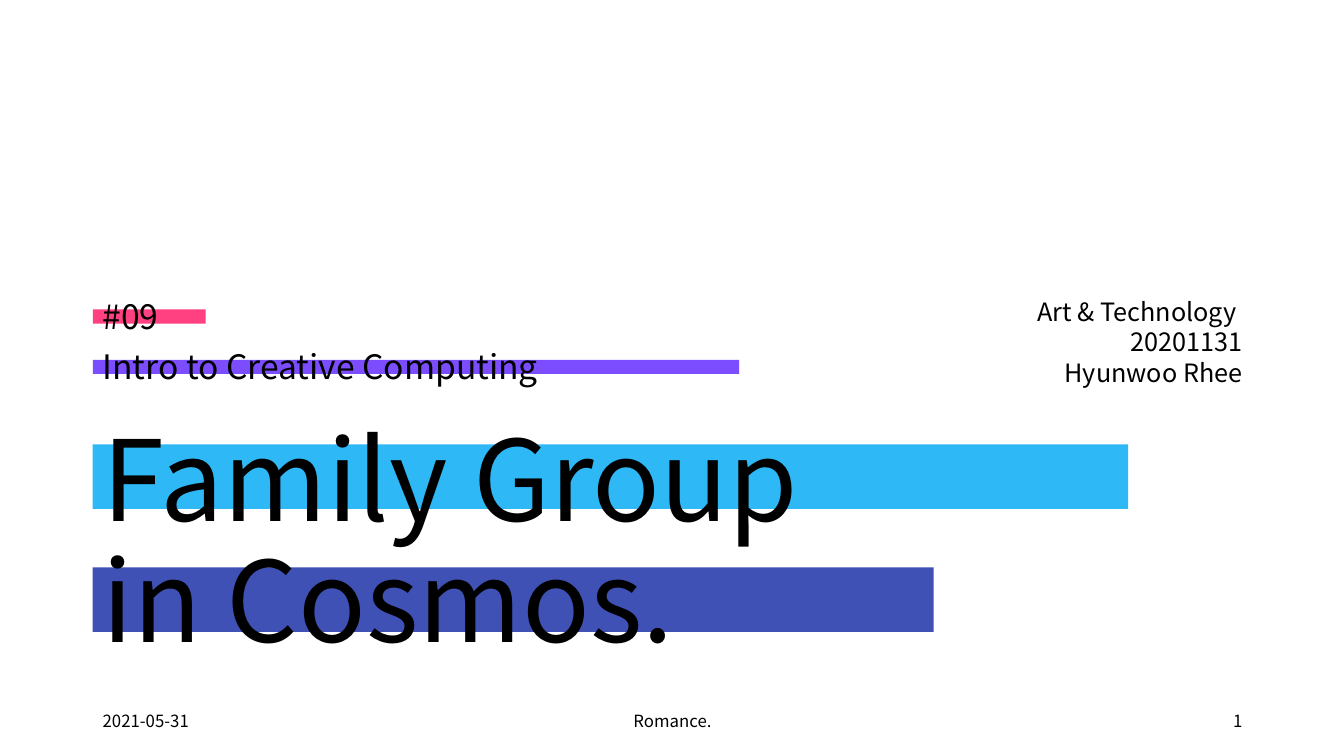
from pptx import Presentation
from pptx import util as u
from pptx.dml.color import RGBColor
from pptx.enum import shapes, text

PX = 9144  # EMU per px, 100 px to the inch
FONT = "Noto Sans CJK KR"
BLACK = RGBColor(0x00, 0x00, 0x00)
VIOLET = RGBColor(0x7C, 0x4D, 0xFF)
PINK = RGBColor(0xFF, 0x40, 0x81)
INDIGO = RGBColor(0x3F, 0x51, 0xB5)
SKY = RGBColor(0x2E, 0xB8, 0xF6)

LEFT = 92
WIDTH = 1150
RIGHT = LEFT + WIDTH
LEFT_ALIGN, CENTER, RIGHT_ALIGN = (
    text.PP_ALIGN.LEFT, text.PP_ALIGN.CENTER, text.PP_ALIGN.RIGHT)
MIDDLE, BOTTOM = text.MSO_ANCHOR.MIDDLE, text.MSO_ANCHOR.BOTTOM


def add_bar(slide, top, width, height, color):
    """Coloured highlight that starts at the left margin."""
    shape = slide.shapes.add_shape(
        shapes.MSO_SHAPE.RECTANGLE, LEFT * PX, top * PX, width * PX, height * PX)
    shape.shadow.inherit = False
    shape.fill.solid()
    shape.fill.fore_color.rgb = color
    shape.line.fill.background()


def add_text(slide, box, paragraphs, size, align=LEFT_ALIGN, anchor=BOTTOM,
             line_spacing=1.0, space_before=0):
    """Text box; space_before applies between paragraphs."""
    shape = slide.shapes.add_textbox(*(length * PX for length in box))
    frame = shape.text_frame
    frame.word_wrap = True
    frame.vertical_anchor = anchor
    for index, line in enumerate(paragraphs):
        paragraph = frame.add_paragraph() if index else frame.paragraphs[0]
        paragraph.text = line
        paragraph.alignment = align
        paragraph.line_spacing = line_spacing
        paragraph.space_before = u.Pt(space_before if index else 0)
        paragraph.font.name = FONT
        paragraph.font.size = u.Pt(size)
        paragraph.font.color.rgb = BLACK


def add_footer(slide, left, width, label, align):
    add_text(slide, (left, 695, width, 40), [label], 12, align, MIDDLE)


def main():
    presentation = Presentation()
    presentation.slide_width = 1333 * PX
    presentation.slide_height = 750 * PX
    slide = presentation.slides.add_slide(presentation.slide_layouts[6])

    # Highlights behind the headings
    add_bar(slide, 357, 641, 14, VIOLET)
    add_bar(slide, 307, 112, 14, PINK)
    add_bar(slide, 563, 834, 64, INDIGO)
    add_bar(slide, 441, 1027, 64, SKY)

    # Title, course and author
    add_text(slide, (LEFT, 406, WIDTH, 260), ["Family Group\nin Cosmos."], 80,
             line_spacing=0.9)
    add_text(slide, (LEFT, 289, WIDTH, 100),
             ["#09", "Intro to Creative Computing"], 24,
             line_spacing=0.9, space_before=10)
    add_text(slide, (RIGHT - 316, 288, 316, 101),
             ["Art & Technology ", "20201131", "Hyunwoo Rhee"], 18, RIGHT_ALIGN)

    # Footer
    add_footer(slide, LEFT, 300, "2021-05-31", LEFT_ALIGN)
    add_footer(slide, 442, 450, "Romance.", CENTER)
    add_footer(slide, RIGHT - 300, 300, "1", RIGHT_ALIGN)

    presentation.save("out.pptx")


if __name__ == "__main__":
    main()
